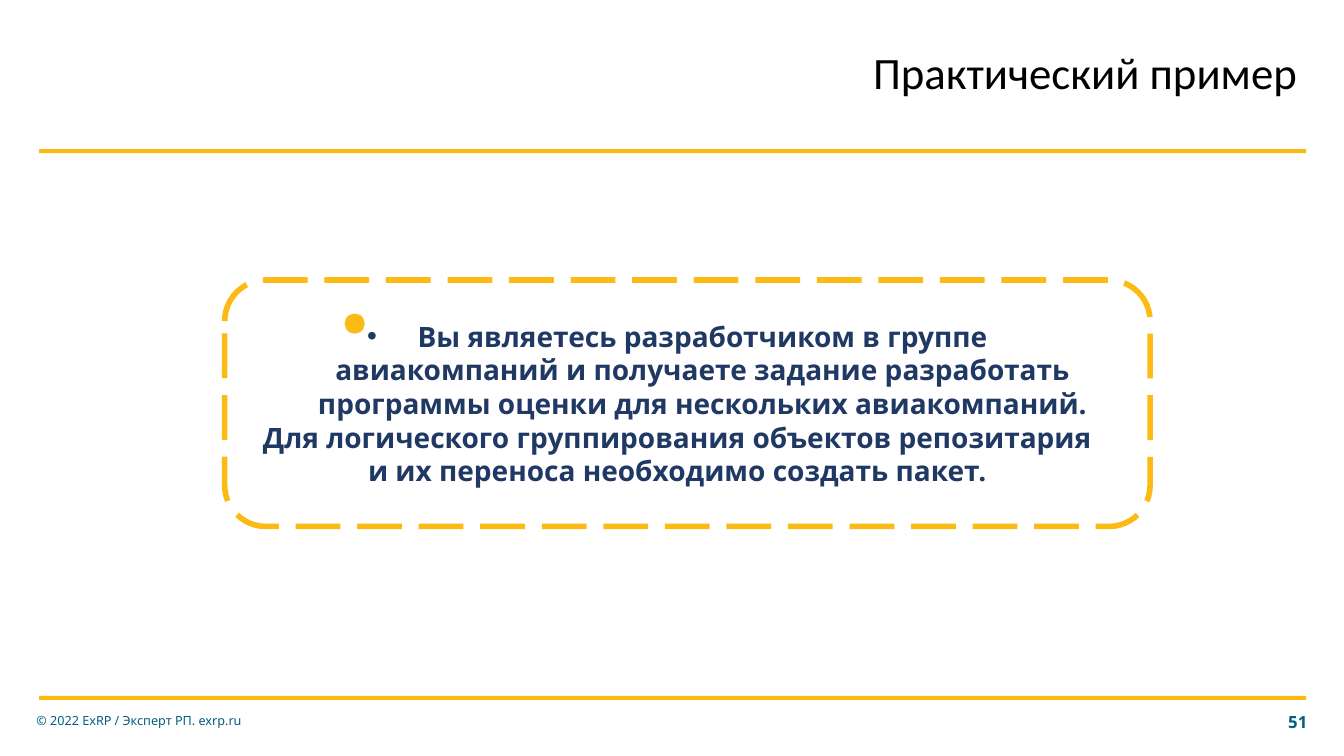
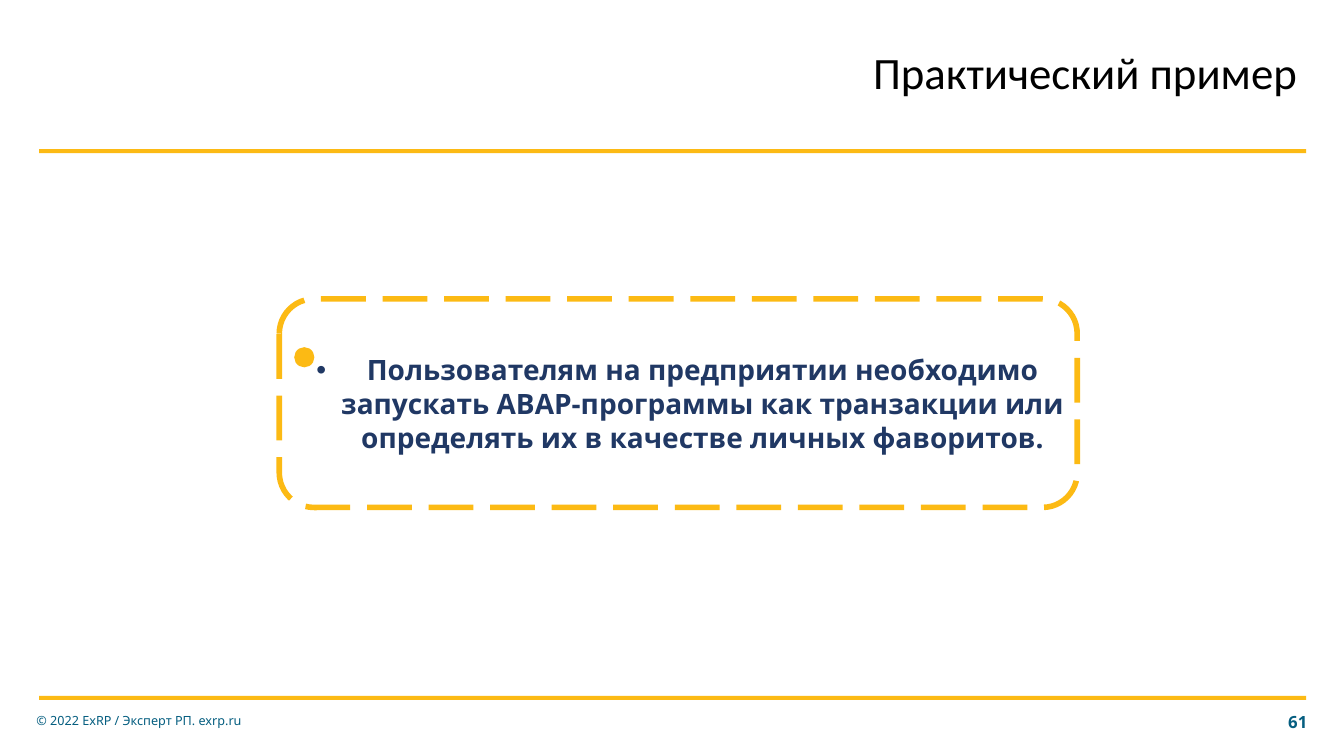
from lxml import etree
from pptx import Presentation
from pptx.dml.color import RGBColor
from pptx.enum.dml import MSO_LINE
from pptx.enum.shapes import MSO_SHAPE as SHAPE
from pptx.enum.text import MSO_ANCHOR, MSO_AUTO_SIZE, PP_ALIGN as ALIGN
from pptx.oxml.ns import qn
from pptx.util import Pt

GOLD = RGBColor(0xFC, 0xBA, 0x14)
NAVY = RGBColor(0x20, 0x38, 0x64)
TEAL = RGBColor(0x05, 0x5E, 0x80)
BLACK = RGBColor(0, 0, 0)

WIDTH, HEIGHT = 960, 540
MARGIN, BAND_W, BAND_H = 28, 905, 3
MIDDLE = 288
LINE = 24
DOT = 14.4

TITLE = "Практический пример"
FOOTER = "© 2022 ExRP / Эксперт РП. exrp.ru"
CASES = [
    dict(number="51", frame=(160.5, 661, 176), dot_left=246.2, lines=5, paragraphs=[
        "Вы являетесь разработчиком в группе авиакомпаний и получаете задание "
        "разработать программы оценки для нескольких авиакомпаний.",
        "Для логического группирования объектов репозитария и их переноса "
        "необходимо создать пакет."]),
    dict(number="61", frame=(199.5, 570, 149), dot_left=210.2, lines=3, paragraphs=[
        "Пользователям на предприятии необходимо запускать ABAP-программы как "
        "транзакции или определять их в качестве личных фаворитов."]),
]


def place(sp, box):
    sp.left, sp.top, sp.width, sp.height = map(Pt, box)


def set_bullet(p, bullet):
    pPr = p._p.get_or_add_pPr()
    indent = Pt(36) if bullet else 0
    pPr.set("marL", str(indent))
    pPr.set("indent", str(-indent))
    if bullet:
        etree.SubElement(pPr, qn("a:buFont")).set("typeface", "Arial")
        etree.SubElement(pPr, qn("a:buChar")).set("char", "•")
    else:
        etree.SubElement(pPr, qn("a:buNone"))


def write(tf, *texts, size, color, font="Noto Sans", bold=False, align=ALIGN.LEFT,
          spacing=1.0, insets=(7.2, 3.6, 7.2, 3.6), bullet_first=False):
    tf.word_wrap = True
    tf.auto_size = MSO_AUTO_SIZE.NONE
    tf.vertical_anchor = MSO_ANCHOR.MIDDLE
    tf.margin_left, tf.margin_top, tf.margin_right, tf.margin_bottom = map(Pt, insets)
    for i, text in enumerate(texts):
        p = tf.add_paragraph() if i else tf.paragraphs[0]
        set_bullet(p, bullet_first and i == 0)
        p.alignment = align
        p.line_spacing = spacing
        p.space_before = p.space_after = Pt(0)
        r = p.add_run()
        r.text = text
        r.font.name, r.font.size, r.font.bold = font, Pt(size), bold
        r.font.color.rgb = color


def add_solid(s, kind, box):
    sp = s.shapes.add_shape(kind, *map(Pt, box))
    sp.shadow.inherit = False
    sp.fill.solid()
    sp.fill.fore_color.rgb = GOLD
    sp.line.fill.background()


def add_frame(s, box):
    sp = s.shapes.add_shape(SHAPE.ROUNDED_RECTANGLE, *map(Pt, box))
    sp.shadow.inherit = False
    sp.fill.background()
    sp.line.color.rgb = GOLD
    sp.line.width = Pt(4)
    sp.line.dash_style = MSO_LINE.LONG_DASH


def add_label(s, box, text, **style):
    sp = s.shapes.add_textbox(*map(Pt, box))
    write(sp.text_frame, text, color=TEAL, **style)


def add_chrome(s, number):
    for top in (497, 106.5):
        add_solid(s, SHAPE.RECTANGLE, (MARGIN, top, BAND_W, BAND_H))
    add_label(s, (894, 501, 47, 29), number, size=12, bold=True, align=ALIGN.RIGHT)
    add_label(s, (19, 500, 205, 29), FOOTER, size=9)
    title = s.shapes.title
    place(title, (532, 35, 402, 40))
    write(title.text_frame, TITLE, size=32, color=BLACK, font="Calibri",
          align=ALIGN.RIGHT, spacing=0.9, insets=(0, 0, 7.2, 3.6))


def add_case(s, frame, dot_left, lines, paragraphs):
    left, width, height = frame
    text_h = lines * LINE + 8
    text_top = MIDDLE - text_h / 2
    body = s.placeholders[1]
    place(body, (178.6, text_top, 603.4, text_h))
    write(body.text_frame, *paragraphs, size=20, color=NAVY, bold=True,
          align=ALIGN.CENTER, spacing=Pt(LINE), insets=(7.2, 3.6, 0, 3.6),
          bullet_first=True)
    add_frame(s, (left, MIDDLE - height / 2, width, height))
    add_solid(s, SHAPE.OVAL, (dot_left, text_top, DOT, DOT))


def main():
    prs = Presentation()
    prs.slide_width, prs.slide_height = Pt(WIDTH), Pt(HEIGHT)
    for case in CASES:
        s = prs.slides.add_slide(prs.slide_layouts[1])
        add_chrome(s, case["number"])
        add_case(s, case["frame"], case["dot_left"], case["lines"], case["paragraphs"])
    prs.save("out.pptx")


if __name__ == "__main__":
    main()
